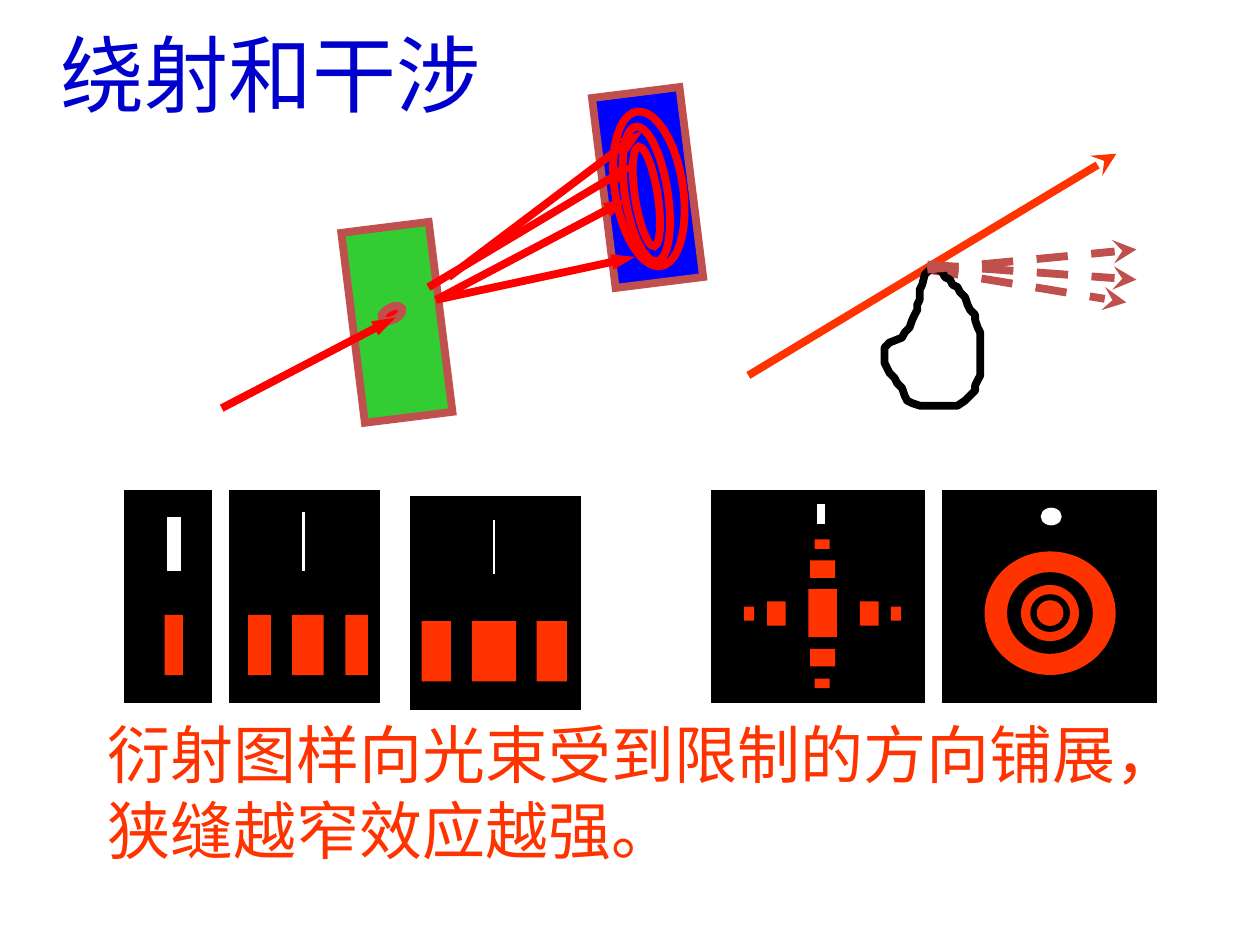
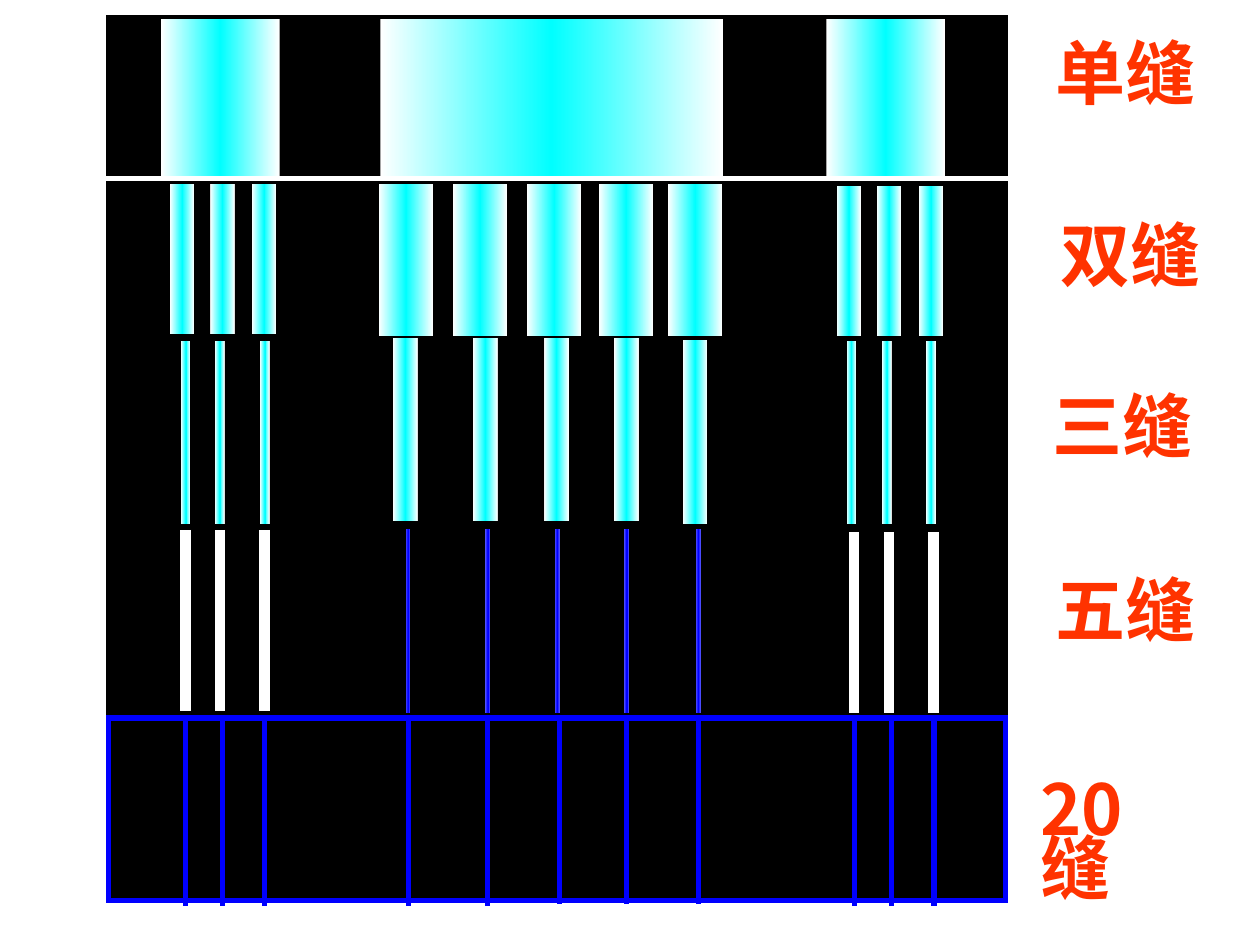
"""Builds two slides on diffraction and interference patterns."""
from copy import deepcopy

from lxml import etree
from pptx import Presentation
from pptx.dml.color import RGBColor
from pptx.enum.dml import MSO_LINE
from pptx.enum.shapes import MSO_CONNECTOR, MSO_SHAPE
from pptx.enum.text import MSO_AUTO_SIZE
from pptx.oxml.ns import qn
from pptx.util import Inches, Pt

RECT, OVAL = MSO_SHAPE.RECTANGLE, MSO_SHAPE.OVAL
STRAIGHT, DASH = MSO_CONNECTOR.STRAIGHT, MSO_LINE.DASH
GROW = MSO_AUTO_SIZE.SHAPE_TO_FIT_TEXT

BLACK = RGBColor(0, 0, 0)
WHITE = RGBColor(255, 255, 255)
ORANGE = RGBColor(255, 51, 0)
RED = RGBColor(255, 0, 0)
BRICK = RGBColor(192, 80, 77)
GREEN = RGBColor(51, 204, 51)
BLUE = RGBColor(0, 0, 255)
NAVY = RGBColor(0, 0, 204)
CYAN = RGBColor(0, 255, 255)
PALE_BLUE = RGBColor(179, 179, 255)

COLUMNS, ROWS = 500, 375
SERIF, SANS = "Times New Roman", "Noto Sans CJK SC"
STEALTH = {"type": "stealth"}
NARROW = {"type": "triangle", "w": "sm", "len": "med"}

OBSTACLE = [
    (367, 109), (369, 107), (372, 107), (374, 108), (375, 110), (377, 111),
    (378, 113), (380, 114), (381, 116), (383, 118), (384, 121), (385, 123),
    (387, 125), (387, 127), (388, 130), (389, 132), (389, 149), (388, 151),
    (387, 153), (387, 155), (385, 157), (383, 159), (380, 161), (377, 161),
    (375, 161), (369, 161), (365, 161), (362, 160), (360, 159), (359, 157),
    (358, 154), (356, 152), (355, 150), (353, 148), (352, 146), (351, 144),
    (351, 138), (353, 136), (358, 134), (359, 132), (361, 130), (362, 127),
    (363, 125), (364, 123), (364, 121), (365, 119), (365, 115), (366, 113),
]


class Deck:
    """Holds the grid, the house style and the current slide."""

    def __init__(self):
        self.prs = Presentation()
        self.prs.slide_width, self.prs.slide_height = Inches(5), Inches(3.75)
        self.column = self.prs.slide_width // COLUMNS
        self.row = self.prs.slide_height // ROWS
        self.shapes = None

    def new_slide(self):
        """Starts a blank slide."""
        self.shapes = self.prs.slides.add_slide(self.prs.slide_layouts[6]).shapes

    def place(self, x, y):
        """Turns grid columns and rows into slide lengths."""
        return round(x * self.column), round(y * self.row)

    def style(self, shape, fill=None, line=None, weight=1):
        """Gives a shape a plain fill and outline, or none."""
        shape.shadow.inherit = False
        if fill is None:
            shape.fill.background()
        else:
            shape.fill.solid()
            shape.fill.fore_color.rgb = fill
        if line is None:
            shape.line.fill.background()
        else:
            shape.line.color.rgb = line
            shape.line.width = Pt(weight)
        return shape

    def figure(self, x, y, w, h, kind=RECT, turn=0, **look):
        """Adds a preset shape with sharp corners."""
        shape = self.shapes.add_shape(kind, *self.place(x, y), *self.place(w, h))
        shape.rotation = turn
        self.style(shape, **look)
        etree.SubElement(shape.line._get_or_add_ln(), qn("a:miter"), lim="800000")
        return shape

    def fringe(self, x, y, w, h, edge=WHITE, core=CYAN, **look):
        """Adds a bar that shades from its edges to its core."""
        bar = self.figure(x, y, w, h, **look)
        bar.fill.gradient()
        bar.fill.gradient_angle = 180
        stops = bar._element.spPr.find(qn("a:gradFill")).find(qn("a:gsLst"))
        stops.append(deepcopy(stops[0]))
        for stop, position, color in zip(bar.fill.gradient_stops, (0, 0.5, 1), (edge, core, edge)):
            stop.position = position
            stop.color.rgb = color

    def fringes(self, xs, y, w, h, **look):
        """Adds a row of equal fringes."""
        for x in xs:
            self.fringe(x, y, w, h, **look)

    def line(self, start, end, color, weight=2.25, head=None, dash=None):
        """Adds a straight line, with an arrowhead if one is given."""
        line = self.shapes.add_connector(STRAIGHT, *self.place(*start), *self.place(*end))
        line.line.color.rgb = color
        line.line.width = Pt(weight)
        if dash:
            line.line.dash_style = dash
        if head:
            etree.SubElement(line.line._get_or_add_ln(), qn("a:tailEnd"), **head)
        etree.SubElement(line._element.spPr, qn("a:effectLst"))

    def uprights(self, xs, top, bottom, color, weight):
        """Adds a row of vertical lines."""
        for x in xs:
            self.line((x, top), (x, bottom), color, weight)

    def outline(self, points, **look):
        """Adds a closed outline through grid points."""
        builder = self.shapes.build_freeform(*points[0], scale=(self.column, self.row))
        builder.add_line_segments(points[1:], close=True)
        self.style(builder.convert_to_shape(), **look)

    def text(self, text, x, y, w, h, size=20, color=ORANGE, font=SANS, bold=False,
             spacing=None, after=0, right=10):
        """Adds text, one paragraph to a line."""
        box = self.shapes.add_textbox(*self.place(x, y), *self.place(w, h))
        frame = box.text_frame
        frame.word_wrap = True
        frame.auto_size = GROW
        frame.margin_right = self.place(right, 0)[0]
        frame.text = text
        for paragraph in frame.paragraphs:
            paragraph.line_spacing = spacing
            paragraph.space_before = Pt(0)
            paragraph.space_after = Pt(after)
            for run in paragraph.runs:
                run.font.name, run.font.size = font, Pt(size)
                run.font.bold, run.font.color.rgb = bold, color
                etree.SubElement(run._r.get_or_add_rPr(), qn("a:ea"), typeface=SANS)

    def label(self, text, x, y, w=75, right=0):
        """Adds the name of a slit count beside its band."""
        self.text(text, x, y, w, 34, bold=True, spacing=0.7, after=8.8, right=right)

    def band(self, y, h, line=BLACK):
        """Adds the dark screen behind one row of fringes."""
        self.figure(43, y, 356, h, fill=BLACK, line=line, weight=1.5)


def draw_light_paths(deck):
    """Draws light bending at an obstacle and through a pinhole."""
    bent = {"color": BRICK, "head": STEALTH, "dash": DASH}
    deck.line((297, 149), (443, 61), ORANGE, head=STEALTH)
    deck.line((368, 107), (447, 120), **bent)
    deck.outline(OBSTACLE, line=BLACK, weight=2.25)
    deck.line((368, 105), (451, 111), **bent)
    deck.line((368, 107), (451, 99), **bent)

    frame = {"line": BRICK, "weight": 2.25}
    deck.figure(140, 90, 35, 76, turn=352.9, fill=GREEN, **frame)
    deck.figure(239.5, 36.5, 35, 76, turn=352.9, fill=BLUE, **frame)
    deck.figure(151, 122, 9, 5, OVAL, turn=332.2, fill=RED, **frame)
    rays = [((88, 162), (157, 126)), ((178, 110), (255, 52)), ((170, 114), (252, 65)),
            ((173, 119), (249, 79)), ((173, 119), (252, 102))]
    for start, end in rays:
        deck.line(start, end, RED, head=NARROW)
    for ring in ((248, 50, 17, 54), (244, 44, 27, 62), (252, 58, 9, 40)):
        deck.figure(*ring, OVAL, turn=351.1, line=RED, weight=2.25)


def draw_slit_patterns(deck):
    """Draws each aperture above the pattern it makes."""
    screens = [
        ((50, 195, 33.5, 83.5), (65.5, 204.5, 7, 23), BLACK, 1, [(65.3, 244, 7.3, 24)]),
        ((163.3, 197.5, 66.7, 83.5), (195, 205.5, 2, 23), BLACK, 1,
         [(187.3, 246.5, 17.5, 24), (167.3, 246.5, 11.7, 24), (213, 246.5, 12, 24)]),
        ((91.5, 195, 58.5, 83.5), (120, 203.5, 1, 23), WHITE, 0.25,
         [(116, 244, 12.5, 24), (137, 244, 9, 24), (98.5, 244, 9, 24)]),
        ((283, 195, 83.5, 83.5), (323.5, 199.5, 4.5, 9), BLACK, 1,
         [(320.8, 233.7, 11.4, 19.2), (304.4, 238.7, 7.4, 9.6),
          (341.3, 238.7, 7.4, 9.6), (295.2, 240.8, 4.1, 5.6),
          (353.6, 240.8, 4, 5.6), (321.5, 222.4, 10, 7),
          (321.5, 257.5, 10, 7), (323.3, 214, 6, 3.8), (323.3, 269.3, 6, 3.8)]),
    ]
    for screen, slit, edge, weight, spots in screens:
        deck.figure(*screen, fill=BLACK, line=BLACK)
        for spot in spots:
            deck.figure(*spot, fill=ORANGE)
        deck.figure(*slit, fill=WHITE, line=edge, weight=weight)

    deck.figure(374.7, 195, 83.8, 83.5, fill=BLACK, line=BLACK)
    rings = [(52, 49), (34, 32.4), (23, 22.3), (15.8, 15), (10.6, 10.2)]
    for index, (w, h) in enumerate(rings):
        deck.figure(416.7 - w / 2, 243.3 - h / 2, w, h, OVAL,
                    fill=BLACK if index % 2 else ORANGE)
    deck.figure(413, 201.5, 8.3, 7, OVAL, fill=WHITE)


def diffraction_slide(deck):
    """Builds the slide on diffraction."""
    deck.new_slide()
    draw_light_paths(deck)
    draw_slit_patterns(deck)
    deck.text("衍射图样向光束受到限制的方向铺展，\n狭缝越窄效应越强。",
              33, 279, 458, 70, size=18, font=SERIF)
    deck.text("绕射和干涉", 14, 4, 192, 50, size=24, color=NAVY, font=SERIF)


def slit_count_slide(deck):
    """Builds the comparison of fringes by number of slits."""
    deck.new_slide()
    deck.band(7, 62)
    deck.fringe(151, 7.5, 136, 62.3)
    deck.fringes((64, 328), 7.5, 47, 62.3)
    deck.label("单缝", 409, 16)

    deck.band(73, 60)
    deck.label("双缝", 411, 88)
    deck.fringes((150.4, 179.8, 209.2, 237.7, 265.2), 73, 21.5, 60.3)
    deck.fringes((332, 348, 364.6), 74, 9.7, 59.3)
    deck.fringes((67.5, 83.5, 100), 73, 9.7, 59.5)

    deck.label("三缝", 408, 156)
    deck.band(135, 72)
    deck.fringes((156, 187.7, 216, 243.7), 134, 9.8, 73)
    deck.fringes((271,), 135, 9.8, 73)
    deck.fringes((71.8, 85.3, 103.2, 336, 350, 367.5), 135.2, 3.8, 73)

    deck.label("五缝", 409, 229)
    deck.band(209, 75)
    deck.fringes((160, 191.6, 219.2, 246.7, 275.2), 209, 4, 75,
                 edge=PALE_BLUE, core=BLUE, line=BLACK, weight=1.5)
    deck.uprights((73.6, 87.3, 105), 210.3, 282, WHITE, 3)
    deck.uprights((339, 352.8, 370.5), 211.3, 283, WHITE, 3)

    deck.label("20缝", 403, 308, 86, right=35)
    deck.band(285, 72.3, BLUE)
    deck.uprights((222, 248.7, 277.2), 284, 358.7, BLUE, 1.5)
    deck.uprights((73.6, 88.3, 105, 162.1, 193.6, 339.1, 353.8, 370.7),
                  285, 359.7, BLUE, 1.5)


def main():
    """Builds and saves the deck."""
    deck = Deck()
    diffraction_slide(deck)
    slit_count_slide(deck)
    deck.prs.save("out.pptx")


if __name__ == "__main__":
    main()
